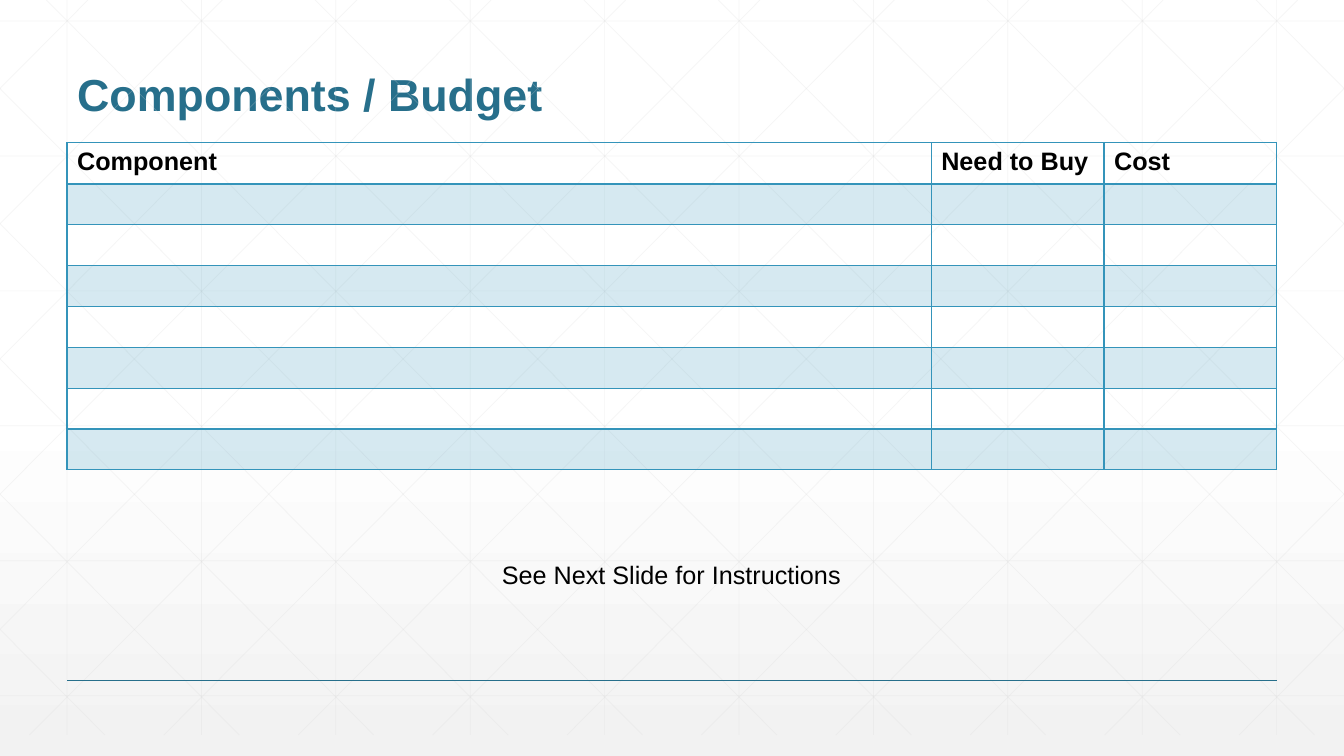
from copy import deepcopy

from lxml import etree
from pptx import Presentation
from pptx.dml.color import RGBColor
from pptx.enum.shapes import MSO_CONNECTOR
from pptx.enum.text import MSO_ANCHOR, PP_ALIGN
from pptx.oxml.ns import qn
from pptx.util import Cm, Pt

WIDTH, HEIGHT = 33.87, 19.05
MARGIN = 1.69
CONTENT_WIDTH = WIDTH - 2 * MARGIN
FONT = "Arial"
BLUE, DARK_BLUE, GRID_GREY, BLACK = "3494BA", "276F8B", "D9D9D9", "000000"


def paint(color_format, color, opacity=100):
    """Set a colour from a hex string, with opacity in percent."""
    color_format.rgb = RGBColor.from_string(color)


def set_opacity(element, percent):
    """Make the solid colour inside an element partly transparent."""
    color = next(element.iter(qn("a:srgbClr")))
    etree.SubElement(color, qn("a:alpha"), val=str(percent * 1000))


def write(paragraph, text, size, color=BLACK, bold=False):
    """Add one formatted run to a paragraph."""
    run = paragraph.add_run()
    run.text = text
    run.font.name, run.font.size, run.font.bold = FONT, Pt(size), bold
    paint(run.font.color, color)


def add_line(slide, start, end, color, width):
    """Draw a straight line without a shadow."""
    line = slide.shapes.add_connector(
        MSO_CONNECTOR.STRAIGHT, *(Cm(value) for value in start + end))
    paint(line.line.color, color)
    line.line.width = Pt(width)
    properties = line.element.spPr
    etree.SubElement(properties, qn("a:effectLst"))
    return line


def add_background(slide):
    """Fade the background from white to light grey at the foot."""
    fill = slide.background.fill
    fill.gradient()
    fill.gradient_angle = 270
    stop_list = next(slide.element.iter(qn("a:gsLst")))
    stop_list.insert(1, deepcopy(stop_list[0]))
    stops = [(0, "FFFFFF"), (0.53, "FFFFFF"), (1, "F2F2F2")]
    for stop, (position, color) in zip(fill.gradient_stops, stops):
        stop.position = position
        paint(stop.color, color)


def add_grid(slide, width, height):
    """Cover a box at the slide's top left with a faint triangular grid."""
    step, slant, first_diagonal = width / 10, 0.994, 1.17
    lines = []
    for k in range(10):
        x = MARGIN + k * step
        lines.append(((x, 0), (x, height)))
    for k in range(6):
        y = 0.53 + k * 3.4
        lines.append(((0, y), (width, y)))
    for k in range(-5, 10):
        x = first_diagonal + k * step
        top = max(0, -x / slant)
        bottom = min(height, (width - x) / slant)
        left, right = x + top * slant, x + bottom * slant
        lines.append(((left, top), (right, bottom)))
        lines.append(((width - left, top), (width - right, bottom)))
    for start, end in lines:
        line = add_line(slide, start, end, GRID_GREY, 0.5)
        set_opacity(line.element.spPr, 25)


def add_title(slide, text, left, top, width, height):
    """Place the title placeholder in its box."""
    title = slide.shapes.title
    title.left, title.top = Cm(left), Cm(top)
    title.width, title.height = Cm(width), Cm(height)
    frame = title.text_frame
    frame.vertical_anchor = MSO_ANCHOR.BOTTOM
    paragraph = frame.paragraphs[0]
    paragraph.alignment = PP_ALIGN.LEFT
    paragraph.line_spacing = 0.9
    write(paragraph, text, 32, DARK_BLUE, bold=True)


def add_border(cell, side, width):
    """Add one solid border (L, R, T or B) to a cell."""
    border = etree.Element(qn(f"a:ln{side}"), w=str(Pt(width)))
    fill = etree.SubElement(border, qn("a:solidFill"))
    etree.SubElement(fill, qn("a:srgbClr"), val=BLUE)
    properties = cell._tc.get_or_add_tcPr()
    properties.insert("LRTB".index(side), border)


def add_budget_table(slide, headings, left, top, width, height):
    """Build the component table with a header and banded empty rows."""
    row_count, shares = 8, (5, 1, 1)
    table = slide.shapes.add_table(
        row_count, len(headings), Cm(left), Cm(top), Cm(width), Cm(height)).table
    table.first_row = table.horz_banding = False
    for column, share in zip(table.columns, shares):
        column.width = Cm(width * share / sum(shares))
    for r, row in enumerate(table.rows):
        row.height = Cm(height / row_count)
        for cell, heading in zip(row.cells, headings):
            if r % 2:
                cell.fill.solid()
                paint(cell.fill.fore_color, BLUE)
                set_opacity(cell._tc.tcPr, 20)
            else:
                cell.fill.background()
            for side in "LRTB":
                heavy = (r, side) in ((0, "B"), (1, "T"))
                add_border(cell, side, 2 if heavy else 1)
            paragraph = cell.text_frame.paragraphs[0]
            if r == 0:
                write(paragraph, heading, 18, bold=True)
            else:
                paragraph.font.size = Pt(18)


def add_note(slide, text, left, top, width, height):
    """Add the unwrapped line of text below the table."""
    box = slide.shapes.add_textbox(Cm(left), Cm(top), Cm(width), Cm(height))
    box.text_frame.word_wrap = False
    write(box.text_frame.paragraphs[0], text, 18)


def build_budget_slide(presentation):
    """Compose the components and budget slide."""
    slide = presentation.slides.add_slide(presentation.slide_layouts[5])
    add_background(slide)
    add_grid(slide, WIDTH, 18.52)
    add_line(slide, (MARGIN, 17.14), (WIDTH - MARGIN, 17.14), DARK_BLUE, 1)
    add_title(slide, "Components / Budget", MARGIN, 0.64, CONTENT_WIDTH, 2.54)
    add_budget_table(slide, ("Component", "Need to Buy", "Cost"),
                     MARGIN, 3.6, CONTENT_WIDTH, 8.24)
    add_note(slide, "See Next Slide for Instructions", 12.4, 13.97, 9.14, 1.03)


presentation = Presentation()
presentation.slide_width, presentation.slide_height = Cm(WIDTH), Cm(HEIGHT)
build_budget_slide(presentation)
presentation.save("out.pptx")
